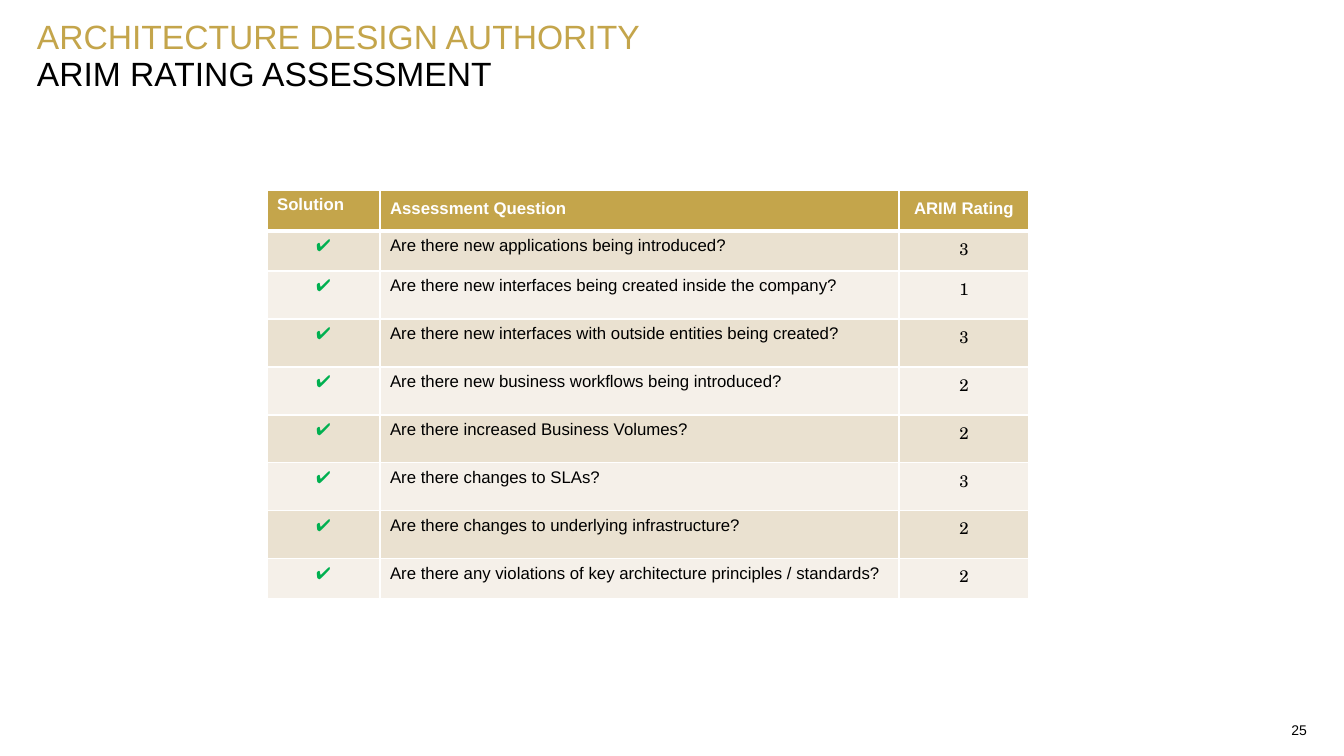
from dataclasses import dataclass

from lxml import etree
from pptx import Presentation, util as u
from pptx.dml.color import RGBColor
from pptx.enum import text
from pptx.oxml import ns

TITLE = "ARCHITECTURE DESIGN AUTHORITY"
SUBTITLE = "ARIM RATING ASSESSMENT"
PAGE_NUMBER = "25"
HEADERS = ("Solution", "Assessment Question", "ARIM Rating")
QUESTIONS = [
    ("Are there new applications being introduced?", 3),
    ("Are there new interfaces being created inside the company?", 1),
    ("Are there new interfaces with outside entities being created?", 3),
    ("Are there new business workflows being introduced?", 2),
    ("Are there increased Business Volumes?", 2),
    ("Are there changes to SLAs?", 3),
    ("Are there changes to underlying infrastructure?", 2),
    ("Are there any violations of key architecture principles / standards?", 2),
]

# Lengths in px
PAGE_SIZE = (1344, 756)
TITLE_BOX = (37, 24, 1270, 31)
SUBTITLE_BOX = (37, 59, 1270, 37)
NUMBER_BOX = (1150, 718, 157, 24)
TABLE_LEFT, TABLE_TOP = 267, 190
COLUMN_WIDTHS = (113, 519, 130)
ROW_HEIGHTS = (41, 40) + (48,) * 6 + (40,)
HEADER_TOPS = (5, 9, 9)
CELL_TOP = 5


@dataclass(frozen=True)
class Theme:
    gold: str = "C4A54B"
    black: str = "000000"
    white: str = "FFFFFF"
    green: str = "00B050"
    bands: tuple = ("EAE1D0", "F5F0E9")
    font: str = "Arial"
    number_font: str = "TeX Gyre Schola"
    heading: int = 24
    table: int = 12
    small: int = 10
    border: int = 1
    header_border: int = 3


THEME = Theme()
LEFT, CENTER, RIGHT = (text.PP_ALIGN.LEFT, text.PP_ALIGN.CENTER,
                       text.PP_ALIGN.RIGHT)


def px(length):
    return u.Emu(round(length * 914400 / 100.8))


def write(frame, words, size, color, align=LEFT, spacing=1.0, bold=False,
          font=THEME.font):
    para = frame.paragraphs[0]
    para.alignment = align
    para.line_spacing = spacing
    span = para.add_run()
    span.text = words
    formats = {"name": font, "size": u.Pt(size), "bold": bold}
    for name, value in formats.items():
        setattr(span.font, name, value)
    span.font.color.rgb = RGBColor.from_string(color)


def place(box, bounds, anchor=text.MSO_ANCHOR.TOP):
    for name, value in zip(("left", "top", "width", "height"), bounds):
        setattr(box, name, px(value))
    formats = {"margin_left": 0, "margin_top": 0, "margin_right": 0,
               "margin_bottom": 0, "word_wrap": True,
               "auto_size": text.MSO_AUTO_SIZE.NONE,
               "vertical_anchor": anchor}
    for name, value in formats.items():
        setattr(box.text_frame, name, value)
    return box.text_frame


def set_borders(cell, top, bottom):
    """Draw white cell borders, which must precede the fill in the XML."""
    properties = cell._tc.get_or_add_tcPr()
    widths = {"lnL": THEME.border, "lnR": THEME.border,
              "lnT": top, "lnB": bottom}
    for index, (side, width) in enumerate(widths.items()):
        line = etree.Element(ns.qn("a:" + side), w=str(u.Pt(width)))
        fill = etree.SubElement(line, ns.qn("a:solidFill"))
        etree.SubElement(fill, ns.qn("a:srgbClr"), val=THEME.white)
        properties.insert(index, line)


def fill_cell(cell, words, fill, color, margin_top=CELL_TOP,
              top=THEME.border, bottom=THEME.border, **style):
    cell.margin_top = px(margin_top)
    cell.fill.solid()
    cell.fill.fore_color.rgb = RGBColor.from_string(fill)
    set_borders(cell, top, bottom)
    write(cell.text_frame, words, THEME.table, color, **style)


def add_assessment(page):
    table = page.shapes.add_table(
        len(QUESTIONS) + 1, len(HEADERS), px(TABLE_LEFT), px(TABLE_TOP),
        px(sum(COLUMN_WIDTHS)), px(sum(ROW_HEIGHTS))).table
    for column, width in zip(table.columns, COLUMN_WIDTHS):
        column.width = px(width)
    for row, height in zip(table.rows, ROW_HEIGHTS):
        row.height = px(height)

    for index, (words, margin) in enumerate(zip(HEADERS, HEADER_TOPS)):
        fill_cell(table.cell(0, index), words, THEME.gold, THEME.white,
                  margin, bottom=THEME.header_border, bold=True,
                  align=CENTER if index == 2 else LEFT)

    for row, (question, rating) in enumerate(QUESTIONS, 1):
        band = THEME.bands[(row - 1) % 2]
        top = THEME.header_border if row == 1 else THEME.border
        fill_cell(table.cell(row, 0), "✔", band, THEME.green, top=top,
                  align=CENTER)
        fill_cell(table.cell(row, 1), question, band, THEME.black, top=top)
        fill_cell(table.cell(row, 2), str(rating), band, THEME.black, top=top,
                  align=CENTER, font=THEME.number_font)


def main():
    deck = Presentation()
    deck.slide_width, deck.slide_height = map(px, PAGE_SIZE)
    page = deck.slides.add_slide(deck.slide_layouts[5])

    write(place(page.shapes.title, TITLE_BOX), TITLE, THEME.heading,
          THEME.gold, spacing=0.8)
    subtitle = page.shapes.add_textbox(0, 0, 0, 0)
    write(place(subtitle, SUBTITLE_BOX), SUBTITLE, THEME.heading,
          THEME.black, spacing=0.85)
    add_assessment(page)
    number = page.shapes.add_textbox(0, 0, 0, 0)
    write(place(number, NUMBER_BOX, text.MSO_ANCHOR.MIDDLE), PAGE_NUMBER,
          THEME.small, THEME.black, align=RIGHT)

    deck.save("out.pptx")


if __name__ == "__main__":
    main()
